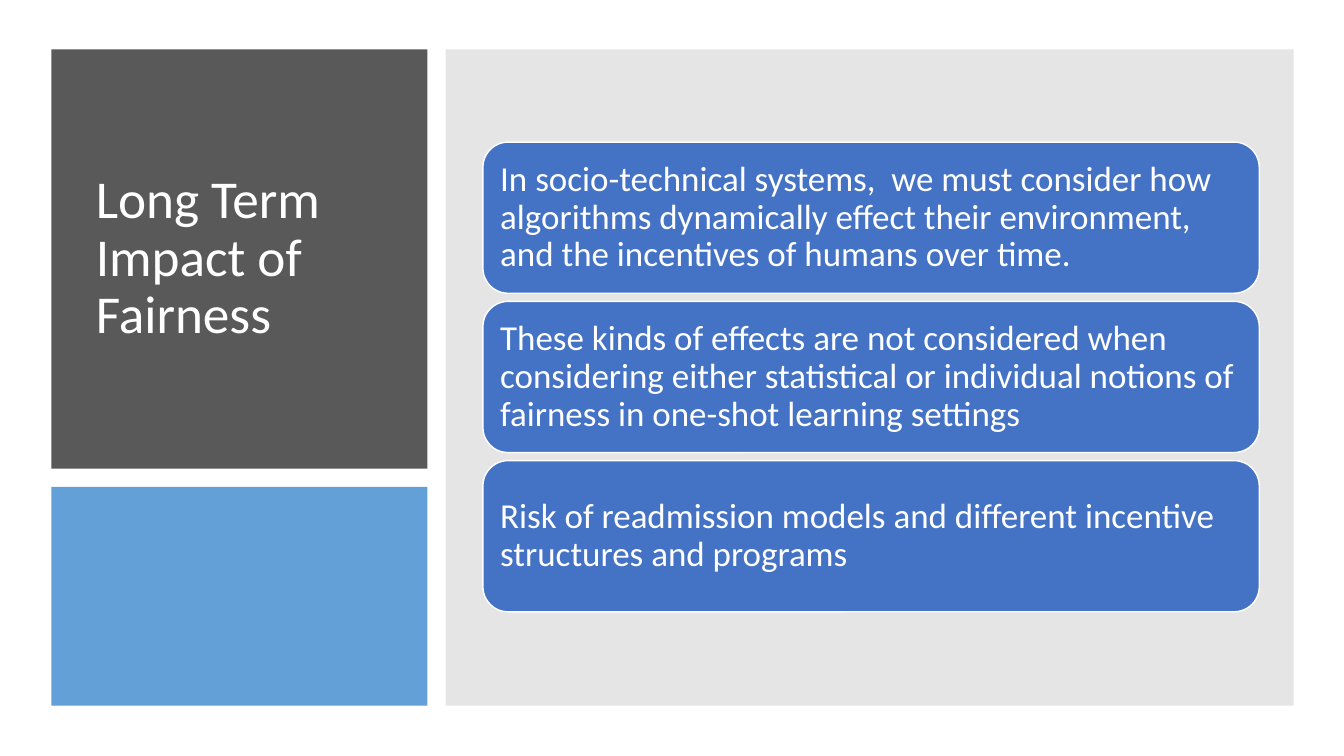
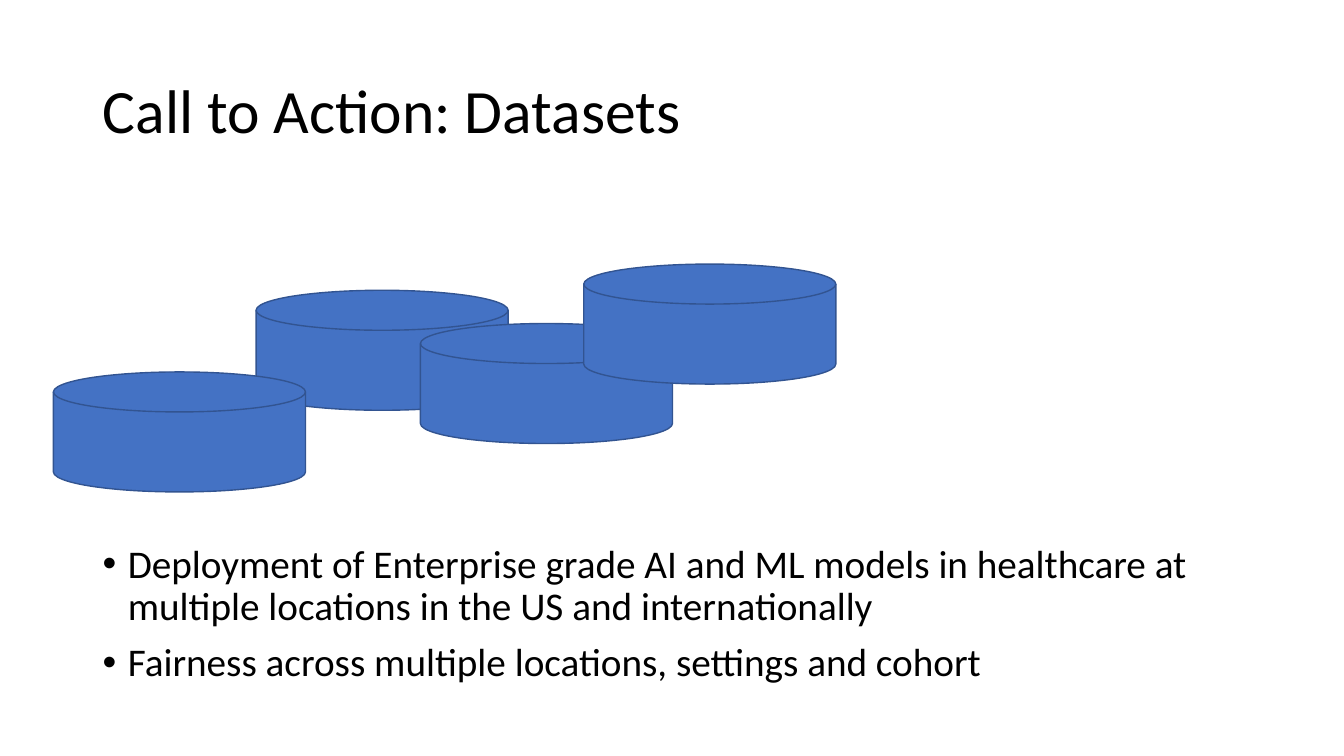
"""Two slides on the long term impact of fairness and a call for datasets."""
from lxml import etree
from pptx import Presentation
from pptx.dml.color import RGBColor
from pptx.enum import shapes, text
from pptx.oxml import ns
from pptx.util import Pt

PX = 9144
FONT = "Calibri"
BLUE, EDGE, WHITE, BLACK = "4472C4", "325491", "FFFFFF", "000000"
KIND = shapes.MSO_SHAPE


def draw(slide, kind, box, fill, line=None, alpha=100):
    shape = slide.shapes.add_shape(kind, *[n * PX for n in box])
    shape.shadow.inherit = False
    shape.fill.solid()
    shape.fill.fore_color.rgb = RGBColor.from_string(fill)
    if alpha < 100:
        color = shape.fill._xPr.find(".//" + ns.qn("a:srgbClr"))
        etree.SubElement(color, ns.qn("a:alpha"), val=str(alpha * 1000))
    if line:
        shape.line.color.rgb = RGBColor.from_string(line)
        shape.line.width = Pt(1)
    else:
        shape.line.fill.background()
    return shape


def write(shape, words, size, color, anchor=text.MSO_ANCHOR.MIDDLE):
    frame = shape.text_frame
    frame.text = words
    frame.word_wrap = True
    frame.auto_size = text.MSO_AUTO_SIZE.NONE
    frame.vertical_anchor = anchor
    for para in frame.paragraphs:
        para.alignment = text.PP_ALIGN.LEFT
        para.line_spacing = 0.9
        for run in para.runs:
            run.font.name = FONT
            run.font.size = Pt(size)
            run.font.color.rgb = RGBColor.from_string(color)
    return frame


deck = Presentation()
deck.slide_width, deck.slide_height = 1333 * PX, 750 * PX
heads = [
    ("Long Term Impact of Fairness", 38, WHITE, (85, 80, 311, 354)),
    ("Call to Action: Datasets", 44, BLACK, (92, 40, 1150, 145)),
]
for words, size, color, box in heads:
    slide = deck.slides.add_slide(deck.slide_layouts[5])
    title = slide.shapes.title
    title.left, title.top, title.width, title.height = [n * PX for n in box]
    write(title, words, size, color)
impact, action = deck.slides

panels = [
    ((51, 49, 373, 416), "595959", 100),
    ((51, 483, 373, 217), "5B9BD5", 95),
    ((442, 49, 841, 651), "808080", 20),
]
for box, fill, alpha in panels:
    draw(impact, KIND.RECTANGLE, box, fill, alpha=alpha)
impact.shapes._spTree.append(impact.shapes.title._element)

cards = [
    "In socio-technical systems,  we must consider how algorithms dynamically "
    "effect their environment, and the incentives of humans over time.",
    "These kinds of effects are not considered when considering either "
    "statistical or individual notions of fairness in one-shot learning settings",
    "Risk of readmission models and different incentive structures and programs",
]
for row, words in enumerate(cards):
    box = (479, 141 + row * 158, 770, 150)
    card = draw(impact, KIND.ROUNDED_RECTANGLE, box, BLUE, WHITE)
    frame = write(card, words, 25, WHITE)
    frame.margin_left = frame.margin_right = 10 * PX
    frame.margin_top = frame.margin_bottom = 10 * PX

points = [
    "Deployment of Enterprise grade AI and ML models in healthcare at "
    "multiple locations in the US and internationally",
    "Fairness across multiple locations, settings and cohort",
]
body = action.shapes.add_textbox(*[n * PX for n in (92, 535, 1150, 175)])
frame = write(body, "\n".join(points), 28, BLACK, text.MSO_ANCHOR.TOP)
for para in frame.paragraphs:
    props = para._p.get_or_add_pPr()
    props.set("marL", str(25 * PX))
    props.set("indent", str(-25 * PX))
    etree.SubElement(props, ns.qn("a:buFont"), typeface="Arial")
    etree.SubElement(props, ns.qn("a:buChar"), char="•")
frame.paragraphs[1].space_before = Pt(10)

for left, top in [(254, 288), (417, 321), (579, 262), (53, 369)]:
    box = (left, top, 250, 119)
    draw(action, KIND.FLOWCHART_MAGNETIC_DISK, box, BLUE, EDGE)

deck.save("out.pptx")
